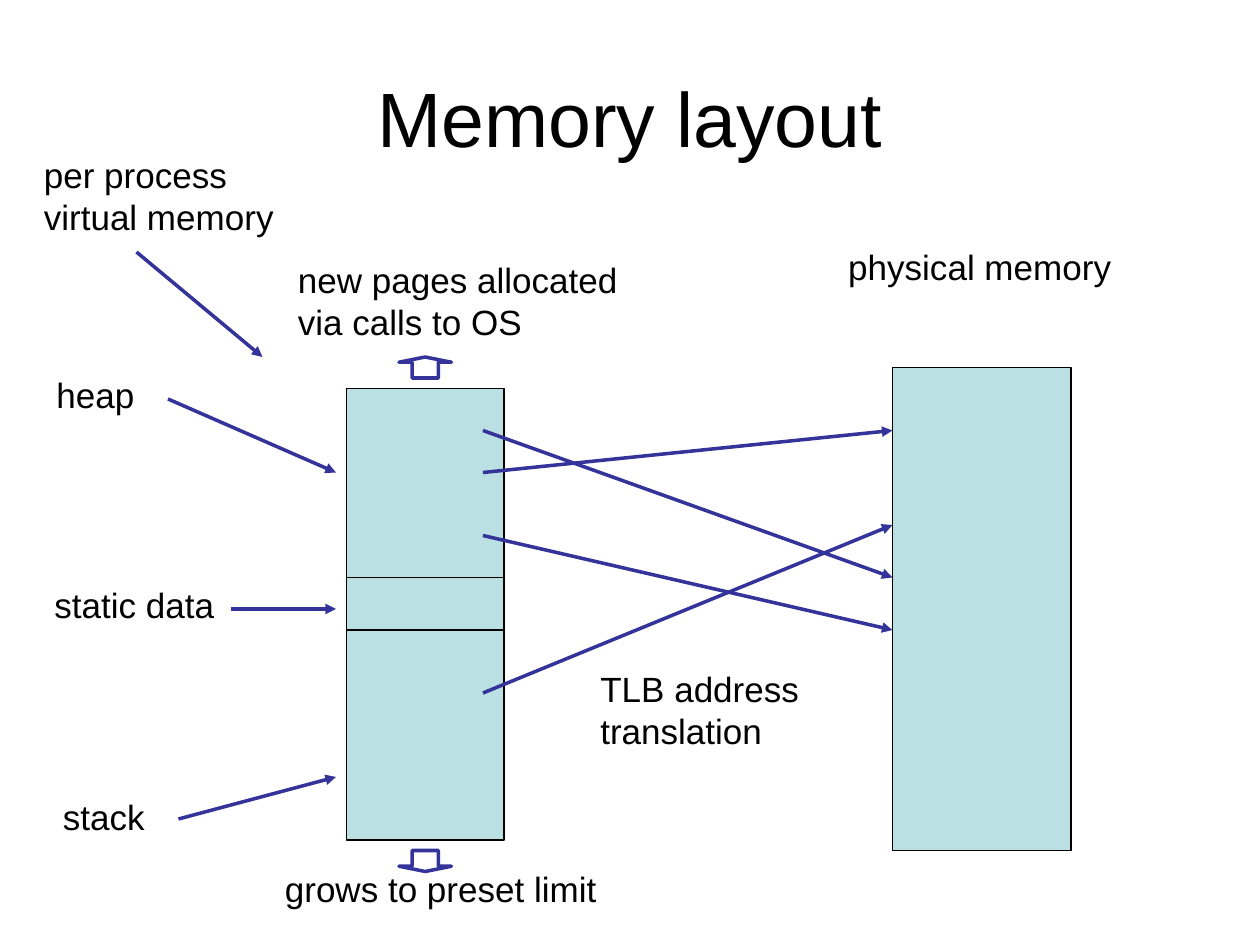
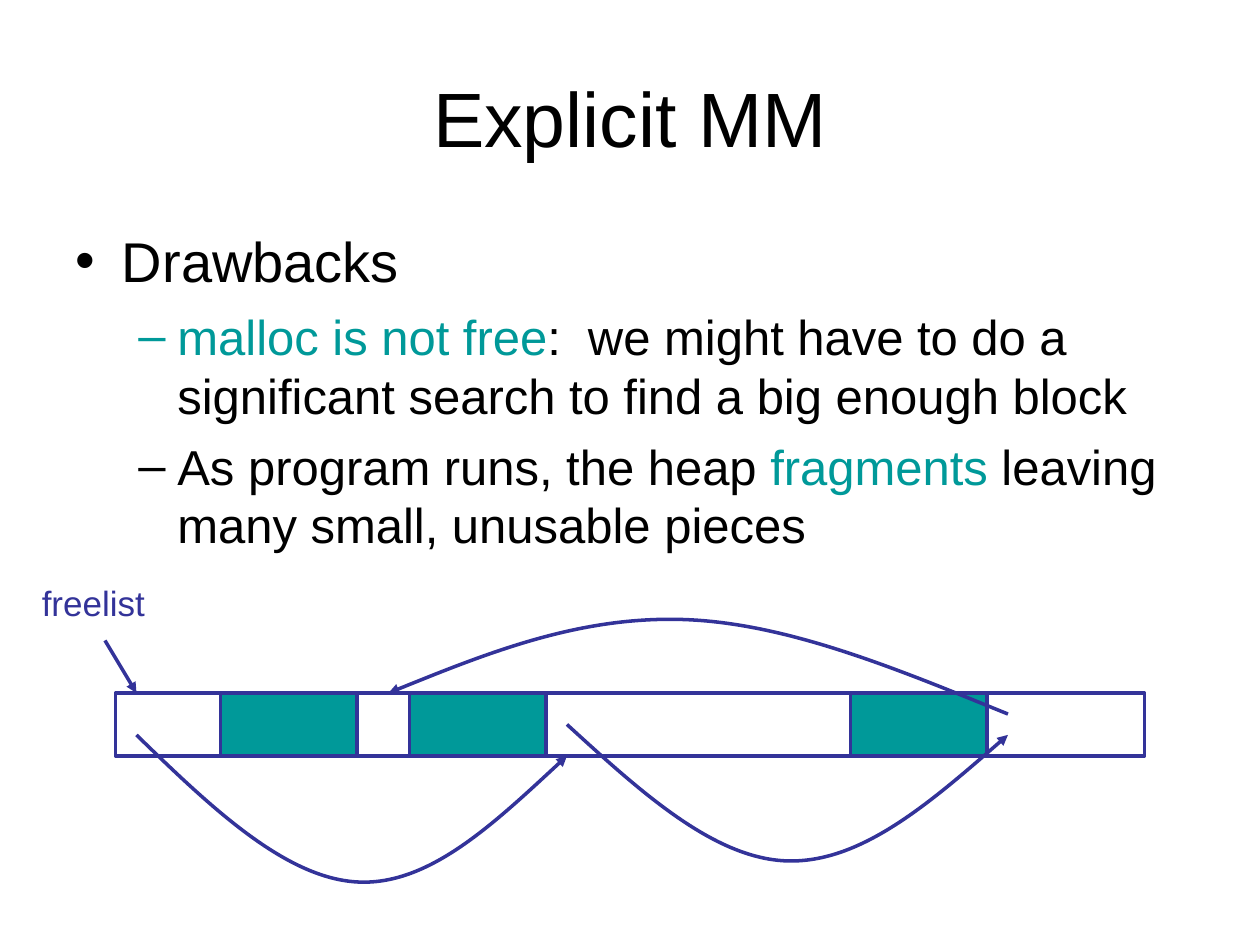
from dataclasses import dataclass

from lxml import etree
from pptx import Presentation
from pptx.dml.color import RGBColor
from pptx.enum.shapes import MSO_CONNECTOR, MSO_SHAPE
from pptx.enum.text import MSO_ANCHOR, MSO_AUTO_SIZE, PP_ALIGN
from pptx.oxml.ns import qn
from pptx.util import Inches, Pt

RECT, UP, DOWN = MSO_SHAPE.RECTANGLE, MSO_SHAPE.UP_ARROW, MSO_SHAPE.DOWN_ARROW
STRAIGHT = MSO_CONNECTOR.STRAIGHT
LEFT, CENTER = PP_ALIGN.LEFT, PP_ALIGN.CENTER
TOP, MIDDLE = MSO_ANCHOR.TOP, MSO_ANCHOR.MIDDLE
FIXED, GROW = MSO_AUTO_SIZE.NONE, MSO_AUTO_SIZE.SHAPE_TO_FIT_TEXT

COLS, ROWS = 120, 90  # twelve grid cells to the inch


@dataclass(frozen=True)
class Theme:
    font: str = "Arial"
    ink: str = "000000"
    paper: str = "FFFFFF"
    memory: str = "BBE0E3"
    accent: str = "009999"
    pointer: str = "333399"
    title_size: int = 44
    topic_size: int = 32
    point_size: int = 28
    label_size: int = 20
    outline: float = 0.75
    stroke: float = 2


THEME = Theme()


def grid(cells):
    return Inches(cells / 12)


def rgb(colour):
    return RGBColor.from_string(colour)


def add_run(paragraph, words, size, colour):
    run = paragraph.add_run()
    run.text = words
    run.font.name = THEME.font
    run.font.size = Pt(size)
    run.font.color.rgb = rgb(colour)


def add_text(slide, box, lines, size=THEME.label_size, colour=THEME.ink,
             align=LEFT, anchor=TOP, wrap=False):
    """Place lines of text in a (column, row, width, height) box."""
    frame = slide.shapes.add_textbox(*map(grid, box)).text_frame
    frame.word_wrap = wrap
    frame.auto_size = FIXED if wrap else GROW
    frame.vertical_anchor = anchor
    for number, line in enumerate(lines):
        paragraph = frame.add_paragraph() if number else frame.paragraphs[0]
        paragraph.alignment = align
        add_run(paragraph, line, size, colour)
    return frame


def add_title(slide, title):
    add_text(slide, (6, 3.6, 108, 15), [title], size=THEME.title_size,
             align=CENTER, anchor=MIDDLE, wrap=True)


def set_bullet(paragraph, mark, colour, margin, hang):
    properties = paragraph._p.get_or_add_pPr()
    properties.set("marL", str(Inches(margin)))
    properties.set("indent", str(-Inches(hang)))
    tint = etree.SubElement(properties, qn("a:buClr"))
    etree.SubElement(tint, qn("a:srgbClr"), val=colour)
    etree.SubElement(properties, qn("a:buFont"), typeface=THEME.font)
    etree.SubElement(properties, qn("a:buChar"), char=mark)


def add_points(slide, box, topic, points):
    """Bullet a topic, with points made of (words, colour) pieces under it."""
    frame = add_text(slide, box, [topic], size=THEME.topic_size, wrap=True)
    set_bullet(frame.paragraphs[0], "•", THEME.ink, 0.37, 0.37)
    for pieces in points:
        paragraph = frame.add_paragraph()
        paragraph.level = 1
        paragraph.space_before = Pt(7)
        set_bullet(paragraph, "–", pieces[0][1], 0.81, 0.31)
        for words, colour in pieces:
            add_run(paragraph, words, THEME.point_size, colour)


def draw_line(shape, colour, width):
    shape.line.color.rgb = rgb(colour)
    shape.line.width = Pt(width)


def add_block(slide, box, fill, line=THEME.pointer, width=THEME.stroke, kind=RECT):
    block = slide.shapes.add_shape(kind, *map(grid, box))
    block.shadow.inherit = False
    block.fill.solid()
    block.fill.fore_color.rgb = rgb(fill)
    draw_line(block, line, width)
    return block


def point_end(shape):
    """Give the line its pointer style and an arrowhead at its end."""
    draw_line(shape, THEME.pointer, THEME.stroke)
    etree.SubElement(shape.line._get_or_add_ln(), qn("a:tailEnd"), type="triangle")


def add_arrow(slide, start, end):
    arrow = slide.shapes.add_connector(STRAIGHT, *map(grid, (*start, *end)))
    point_end(arrow)
    etree.SubElement(arrow._element.spPr, qn("a:effectLst"))


def bend(outline):
    """Turn each three straight segments of the outline into one cubic curve."""
    segments = outline.findall(qn("a:lnTo"))
    for first in range(0, len(segments), 3):
        cubic = etree.SubElement(outline, qn("a:cubicBezTo"))
        for segment in segments[first:first + 3]:
            cubic.append(segment[0])
            outline.remove(segment)


def add_curved_arrow(slide, knots):
    """Draw cubic curves through every third knot; the others steer them."""
    start, *rest = [tuple(map(grid, knot)) for knot in knots]
    builder = slide.shapes.build_freeform(*start)
    builder.add_line_segments(rest, close=False)
    curve = builder.convert_to_shape()
    bend(next(curve._element.iter(qn("a:path"))))
    curve.shadow.inherit = False
    curve.fill.background()
    point_end(curve)


def memory_layout(slide):
    add_title(slide, "Memory layout")

    process_col, process_width, physical_col = 33, 15, 85
    heap_top, data_top, stack_top, stack_end = 37, 55, 60, 80
    for box in ((process_col, heap_top, process_width, stack_end - heap_top),
                (process_col, data_top, process_width, stack_top - data_top),
                (physical_col, 35, 17, 46)):
        add_block(slide, box, THEME.memory, THEME.ink, THEME.outline)

    for kind, row in ((UP, 34), (DOWN, 81)):
        growth = add_block(slide, (38, row, 5, 2), THEME.paper, kind=kind)
        growth.adjustments[1] = 0.25

    for col, row, width, *lines in (
            (3, 14, 24.3, "per process", "virtual memory"),
            (27.2, 24, 32.9, "new pages allocated", "via calls to OS"),
            (79.6, 22.8, 27.5, "physical memory"),
            (4.2, 35, 9.8, "heap"),
            (4, 55, 17.6, "static data"),
            (4.8, 75.15, 10.2, "stack"),
            (25.95, 82, 32.1, "grows to preset limit"),
            (56, 63, 21.4, "TLB address", "translation")):
        add_text(slide, (col, row, width, 1.3 + 4 * len(lines)), lines)

    add_arrow(slide, (13, 24), (25, 34))
    for start, row in (((16, 38), 45), ((22, 58), 58), ((17, 78), 74)):
        add_arrow(slide, start, (process_col - 1, row))
    for page_row, frame_row in ((45, 41), (41, 55), (51, 60), (66, 50)):
        add_arrow(slide, (46, page_row), (physical_col, frame_row))


def explicit_mm(slide):
    add_title(slide, "Explicit MM")
    add_points(slide, (6, 21, 108, 59.4), "Drawbacks", [
        [("malloc is not free", THEME.accent),
         (":  we might have to do a significant search to find a big enough block",
          THEME.ink)],
        [("As program runs, the heap ", THEME.ink),
         ("fragments ", THEME.accent),
         ("leaving many small, unusable pieces", THEME.ink)],
    ])

    heap_row, heap_height = 66, 6
    add_block(slide, (11, heap_row, 98, heap_height), THEME.paper)
    for used_col in (21, 39, 81):
        add_block(slide, (used_col, heap_row, 13, heap_height), THEME.accent)

    for knots in (
            [(13, 70), (20, 76.8), (27.1, 83.6), (34, 84),
             (40.8, 84.4), (47.4, 78.1), (54, 72)],
            [(54, 69), (61, 75.4), (68, 81.8), (75, 82),
             (82, 82.2), (89, 76.1), (96, 70)],
            [(96, 68), (85.4, 63.7), (74.9, 59.3), (65, 59),
             (55.2, 58.7), (46.1, 62.3), (37, 66)]):
        add_curved_arrow(slide, knots)

    add_text(slide, (2.55, 54.8, 12.7, 5.3), ["freelist"],
             colour=THEME.pointer, align=CENTER)
    add_arrow(slide, (10, 61), (13, heap_row))


def main():
    deck = Presentation()
    deck.slide_width, deck.slide_height = grid(COLS), grid(ROWS)
    blank = deck.slide_layouts[6]
    for build in (memory_layout, explicit_mm):
        build(deck.slides.add_slide(blank))
    deck.save("out.pptx")


if __name__ == "__main__":
    main()
